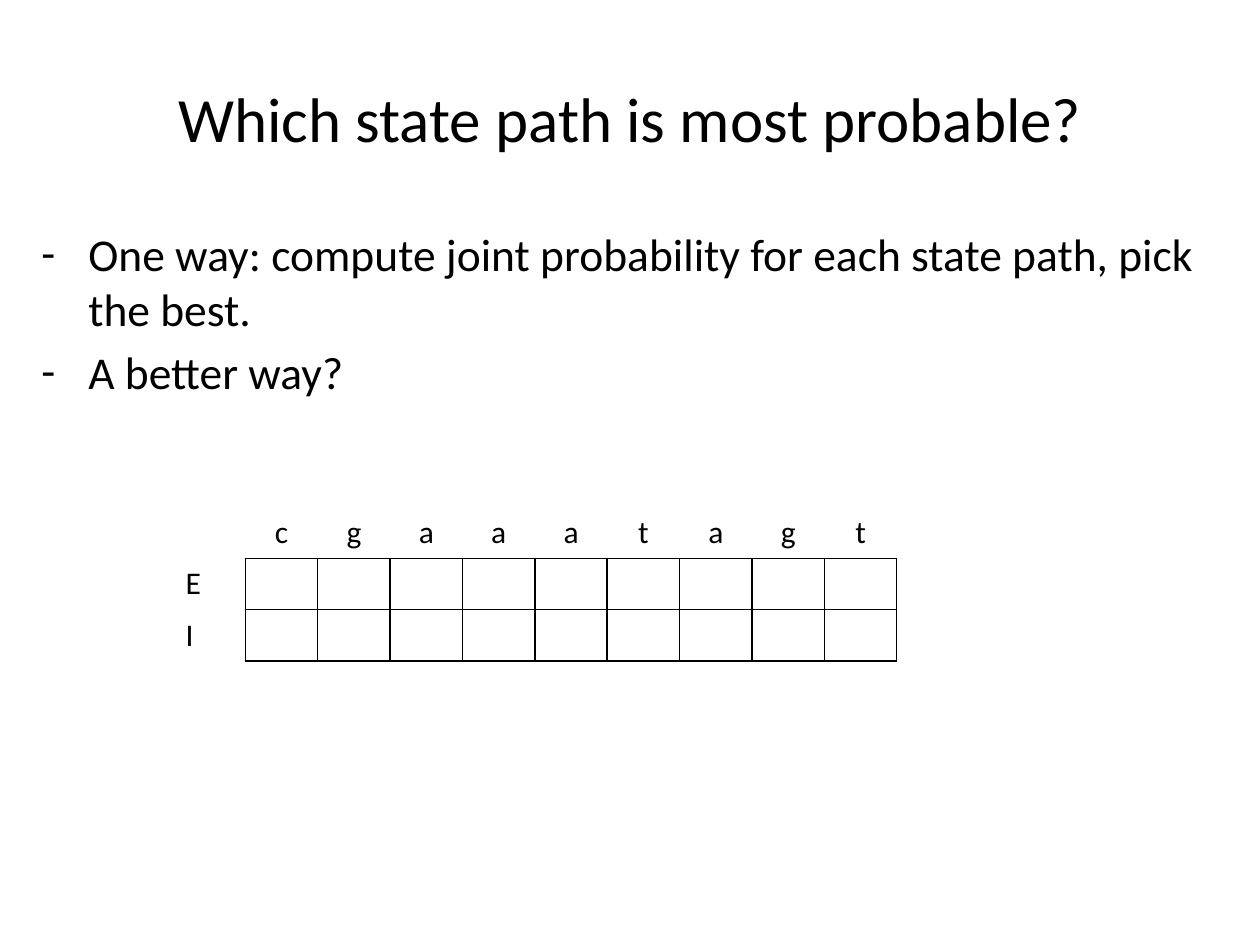
"""Build the slide that asks which state path is most probable."""
from lxml.etree import SubElement
from pptx import Presentation
from pptx.dml.color import RGBColor
from pptx.enum.text import MSO_ANCHOR, PP_ALIGN
from pptx.oxml import parse_xml
from pptx.oxml.ns import nsdecls, qn
from pptx.util import Pt

TITLE = "Which state path is most probable?"
POINTS = [
    "One way: compute joint probability for each state path, pick the best.",
    "A better way?",
]
SEQUENCE = "cgaaatagt"
STATES = "EI"
TRELLIS = [[""] * 10, ["", *SEQUENCE]] + [[state] + [""] * 9 for state in STATES]
FIRST_STATE_ROW = 2

COLORS = {"text": "000000", "border": "000000", "background": "FFFFFF"}
FONT = "Calibri"
PX = 914400 / 126
TITLE_BOX = (63, 38, 1134, 158)
POINTS_BOX = (29, 220, 1197, 624)
TRELLIS_BOX = (173, 456, 724, 205)
BULLET_INDENT = 47


def emu(*lengths):
    return [round(length * PX) for length in lengths]


def format_paragraph(paragraph, size, align):
    paragraph.alignment = align
    for run in paragraph.runs:
        run.font.name = FONT
        run.font.size = Pt(size)
        run.font.color.rgb = RGBColor.from_string(COLORS["text"])


def add_dash(paragraph):
    properties = paragraph._p.get_or_add_pPr()
    indent = emu(BULLET_INDENT)[0]
    properties.set("marL", str(indent))
    properties.set("indent", str(-indent))
    SubElement(properties, qn("a:buFont"), typeface=FONT)
    SubElement(properties, qn("a:buChar"), char="-")


def border_cell(cell, edges):
    properties = cell._tc.get_or_add_tcPr()
    for position, (side, drawn) in enumerate(edges.items()):
        paint = (
            f'<a:solidFill><a:srgbClr val="{COLORS["border"]}"/></a:solidFill>'
            if drawn else "<a:noFill/>"
        )
        line = f'<a:ln{side} {nsdecls("a")} w="{Pt(1)}">{paint}</a:ln{side}>'
        properties.insert(position, parse_xml(line))


def add_title(slide):
    title = slide.shapes.title
    title.left, title.top, title.width, title.height = emu(*TITLE_BOX)
    title.text_frame.text = TITLE
    title.text_frame.vertical_anchor = MSO_ANCHOR.MIDDLE
    format_paragraph(title.text_frame.paragraphs[0], 36, PP_ALIGN.CENTER)


def add_points(slide):
    points = slide.shapes.add_textbox(*emu(*POINTS_BOX)).text_frame
    points.word_wrap = True
    points.text = "\n".join(POINTS)
    for paragraph in points.paragraphs:
        format_paragraph(paragraph, 26, PP_ALIGN.LEFT)
        paragraph.space_before = Pt(5.2)
        add_dash(paragraph)


def add_trellis(slide):
    rows, columns = len(TRELLIS), len(TRELLIS[0])
    trellis = slide.shapes.add_table(rows, columns, *emu(*TRELLIS_BOX)).table
    trellis.first_row = trellis.horz_banding = False
    for r, letters in enumerate(TRELLIS):
        for c, letter in enumerate(letters):
            cell = trellis.cell(r, c)
            cell.text_frame.text = letter
            align = PP_ALIGN.CENTER if c else PP_ALIGN.LEFT
            format_paragraph(cell.text_frame.paragraphs[0], 18, align)
            cell.fill.background()
            in_state_row = r >= FIRST_STATE_ROW
            border_cell(cell, {
                "L": in_state_row and c > 0,
                "R": in_state_row,
                "T": in_state_row and c > 0,
                "B": r >= FIRST_STATE_ROW - 1 and c > 0,
            })


def main():
    presentation = Presentation()
    presentation.slide_width, presentation.slide_height = emu(1260, 945)
    slide = presentation.slides.add_slide(presentation.slide_layouts[5])
    slide.background.fill.solid()
    slide.background.fill.fore_color.rgb = RGBColor.from_string(COLORS["background"])
    add_title(slide)
    add_points(slide)
    add_trellis(slide)
    presentation.save("out.pptx")


if __name__ == "__main__":
    main()
